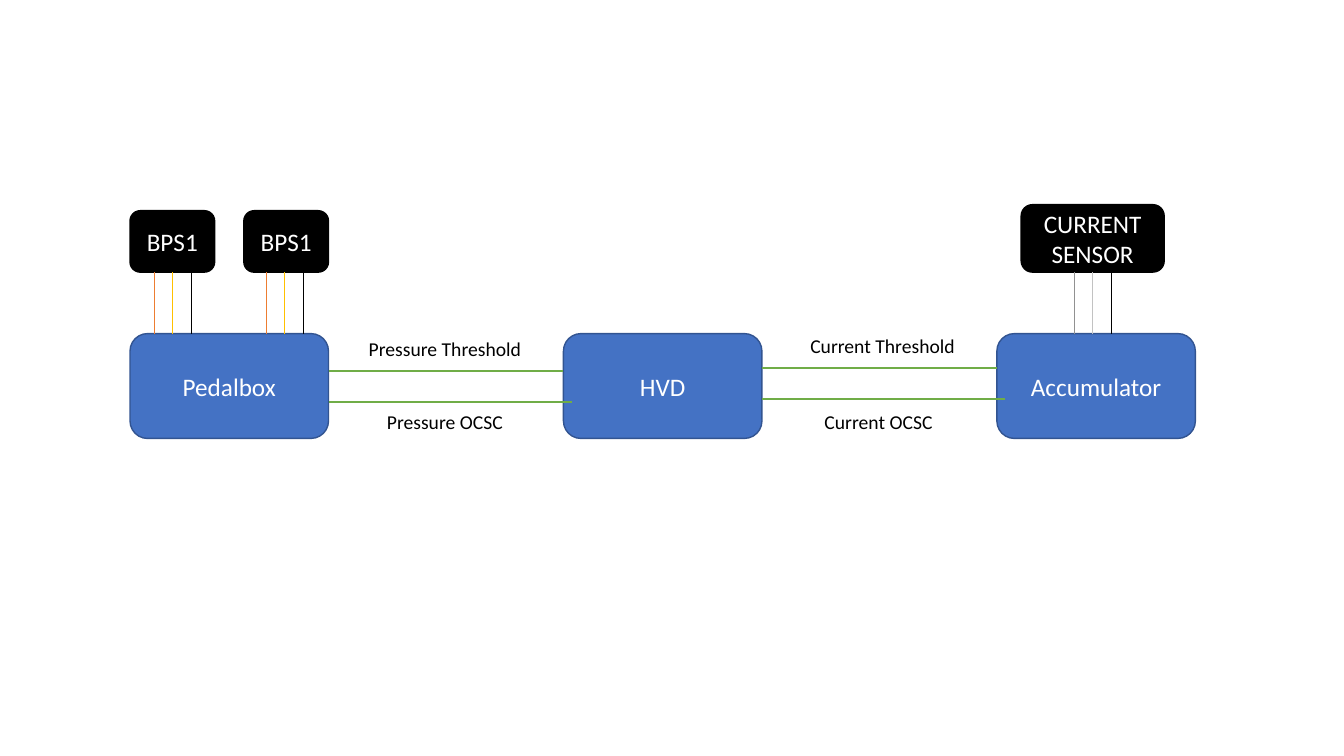
from dataclasses import dataclass

import lxml.etree
import pptx
import pptx.dml.color
import pptx.dml.line
import pptx.enum.shapes
import pptx.enum.text
import pptx.oxml.ns
import pptx.shapes.autoshape
import pptx.shapes.connector
import pptx.slide
import pptx.text.text
import pptx.util

Pt = pptx.util.Pt
HUES = {
    "blue": "4472C4", "navy": "325491", "black": "000000", "white": "FFFFFF",
    "orange": "ED7D31", "yellow": "FFC000", "green": "70AD47",
}
FONT = "Calibri"


@dataclass
class Box:
    text: str
    left: float
    top: float
    width: float
    height: float
    fill: str = "blue"
    edge: str = "navy"


@dataclass
class Sensor:
    box: Box
    mid: float           # x of the middle wire
    gray: bool = False   # coloured wires shown in gray
    joined: bool = True  # middle wire leaves from the middle of the box


@dataclass
class Signal:
    start: float
    end: float
    y: float


@dataclass
class Label:
    text: str
    left: float
    top: float
    width: float


# Units: three equal boxes at an equal pitch
LEFT, TOP, WIDTH, HEIGHT, PITCH = 92.9, 238.3, 141.8, 74.9, 309.6
UNITS = [Box(name, LEFT + i * PITCH, TOP, WIDTH, HEIGHT)
         for i, name in enumerate(("Pedalbox", "HVD", "Accumulator"))]

# Sensors above the units, each with three wires
BASE = 194.4
SENSORS = [
    Sensor(Box("BPS1", LEFT, 150.5, 60.5, 43.9, "black", "black"), 123.15),
    Sensor(Box("BPS1", 174.2, 150.5, 60.5, 43.9, "black", "black"), 203,
           joined=False),
    Sensor(Box("CURRENT SENSOR", 729.4, 146.2, 102.2, 48.2, "black", "black"),
           780.5, gray=True),
]
WIRES = {"orange": -13, "yellow": 0, "black": 13.5}

# Signals between units: the lower line of each pair runs slightly longer
GAP, EXTRA = 22.3, 5.8
SIGNALS = [Signal(LEFT + i * PITCH + WIDTH, LEFT + (i + 1) * PITCH + row * EXTRA,
                  first + row * GAP)
           for i, first in enumerate((265, 262.8)) for row in (0, 1)]
LABELS = [
    Label("Pressure Threshold", 256.3, 236.9, 124.6),
    Label("Pressure OCSC", 269.3, 289.4, 97.9),
    Label("Current Threshold", 571.7, 234.7, 118.8),
    Label("Current OCSC", 581.8, 289.4, 92.2),
]


def rgb(hue: str) -> pptx.dml.color.RGBColor:
    return pptx.dml.color.RGBColor.from_string(HUES[hue])


def set_text(frame: pptx.text.text.TextFrame, text: str, size: float,
             hue: str) -> None:
    frame.text = text
    font = frame.paragraphs[0].font
    font.name, font.size, font.color.rgb = FONT, Pt(size), rgb(hue)


def draw_box(slide: pptx.slide.Slide, box: Box) -> pptx.shapes.autoshape.Shape:
    shape = slide.shapes.add_shape(
        pptx.enum.shapes.MSO_SHAPE.ROUNDED_RECTANGLE,
        Pt(box.left), Pt(box.top), Pt(box.width), Pt(box.height))
    shape.shadow.inherit = False
    shape.fill.solid()
    shape.fill.fore_color.rgb = rgb(box.fill)
    shape.line.color.rgb = rgb(box.edge)
    shape.line.width = Pt(1)
    frame = shape.text_frame
    frame.word_wrap = True
    frame.vertical_anchor = pptx.enum.text.MSO_ANCHOR.MIDDLE
    set_text(frame, box.text, 18, "white")
    frame.paragraphs[0].alignment = pptx.enum.text.PP_ALIGN.CENTER
    return shape


def draw_line(slide: pptx.slide.Slide, x1: float, y1: float, x2: float,
              y2: float, hue: str, width: float
              ) -> pptx.shapes.connector.Connector:
    line = slide.shapes.add_connector(
        pptx.enum.shapes.MSO_CONNECTOR.STRAIGHT, Pt(x1), Pt(y1), Pt(x2), Pt(y2))
    line.line.color.rgb = rgb(hue)
    line.line.width = Pt(width)
    lxml.etree.SubElement(line._element.spPr, pptx.oxml.ns.qn("a:effectLst"))
    return line


def turn_gray(line: pptx.shapes.connector.Connector) -> None:
    for tone in line._element.spPr.iter(pptx.oxml.ns.qn("a:srgbClr")):
        lxml.etree.SubElement(tone, pptx.oxml.ns.qn("a:gray"))


def draw_sensor(slide: pptx.slide.Slide, sensor: Sensor) -> None:
    shape = draw_box(slide, sensor.box)
    for hue, shift in WIRES.items():
        x = sensor.mid + shift
        wire = draw_line(slide, x, BASE, x, TOP, hue, 0.5)
        if sensor.joined and shift == 0:
            wire.begin_connect(shape, 2)
        if sensor.gray:
            turn_gray(wire)


def draw_label(slide: pptx.slide.Slide, label: Label) -> None:
    frame = slide.shapes.add_textbox(Pt(label.left), Pt(label.top),
                                     Pt(label.width), Pt(24.5)).text_frame
    frame.word_wrap = False
    frame.auto_size = pptx.enum.text.MSO_AUTO_SIZE.SHAPE_TO_FIT_TEXT
    set_text(frame, label.text, 14, "black")


def main() -> None:
    deck = pptx.Presentation()
    deck.slide_width, deck.slide_height = Pt(960), Pt(540)
    slide = deck.slides.add_slide(deck.slide_layouts[6])
    for unit in UNITS:
        draw_box(slide, unit)
    for sensor in SENSORS:
        draw_sensor(slide, sensor)
    for signal in SIGNALS:
        draw_line(slide, signal.start, signal.y, signal.end, signal.y,
                  "green", 1.5)
    for label in LABELS:
        draw_label(slide, label)
    deck.save("out.pptx")


if __name__ == "__main__":
    main()
